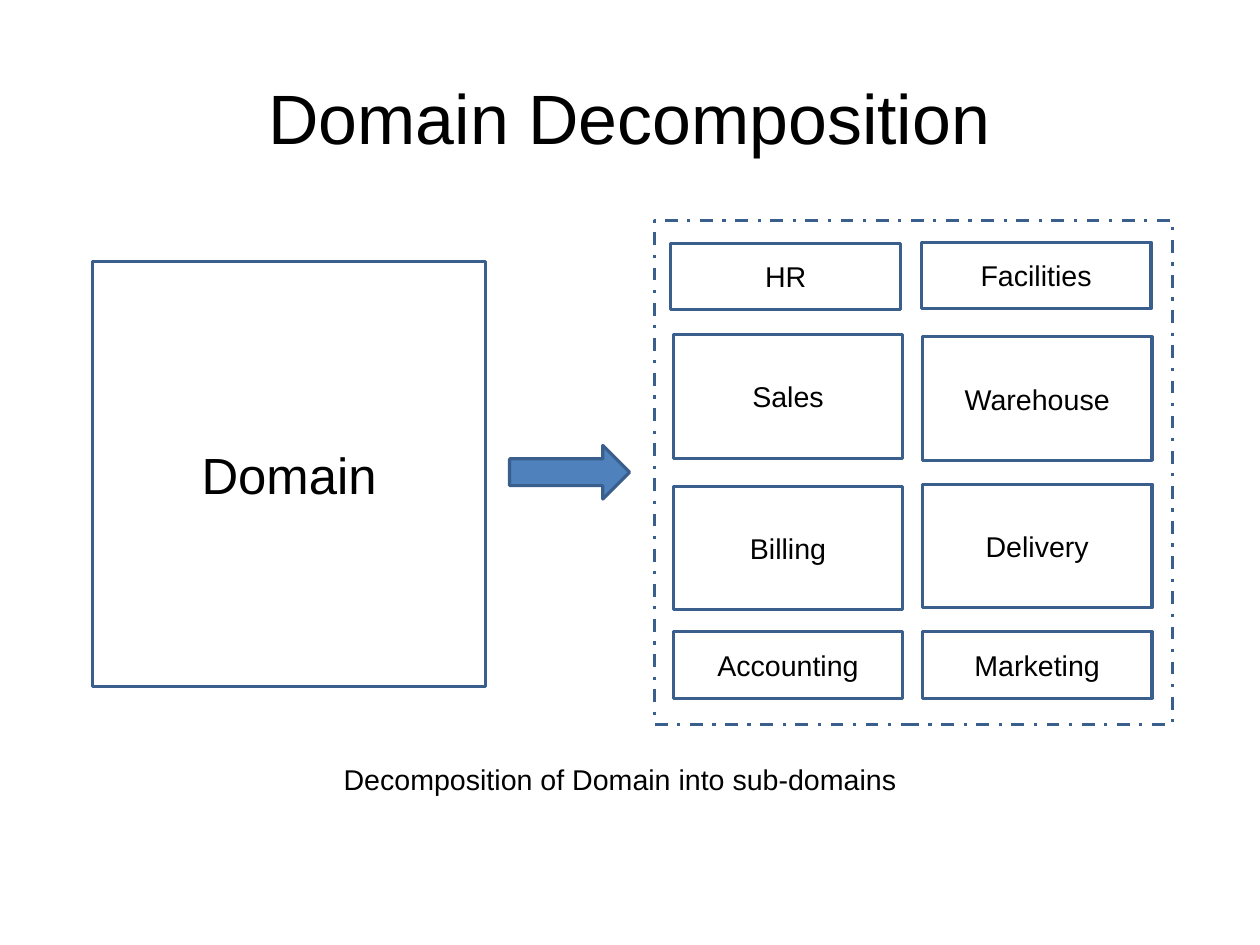
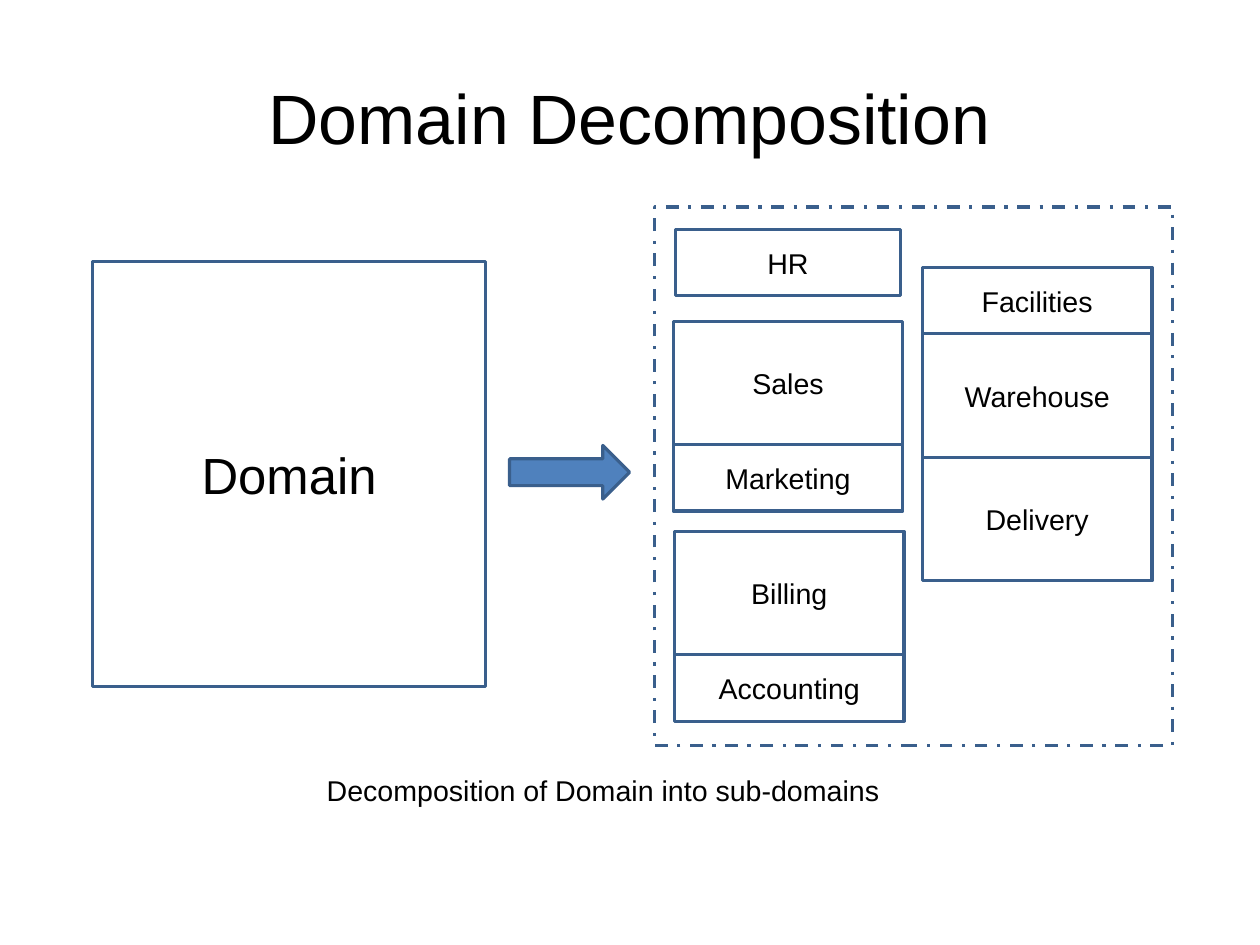
from dataclasses import dataclass

from pptx import Presentation
from pptx.dml.color import RGBColor
from pptx.enum.dml import MSO_LINE_DASH_STYLE as Dash
from pptx.enum.shapes import MSO_SHAPE as Shape
from pptx.enum.text import MSO_ANCHOR as Anchor, MSO_AUTO_SIZE as AutoSize, PP_ALIGN as Align
from pptx.util import Pt


@dataclass(frozen=True)
class Theme:
    font: str = "Arial"
    text: RGBColor = RGBColor(0x00, 0x00, 0x00)
    paper: RGBColor = RGBColor(0xFF, 0xFF, 0xFF)
    outline: RGBColor = RGBColor(0x3A, 0x5F, 0x8C)
    accent: RGBColor = RGBColor(0x4F, 0x81, 0xBD)
    outline_width: float = 2
    title_size: float = 44
    domain_size: float = 32
    body_size: float = 18


@dataclass(frozen=True)
class Stack:
    """Sub-domains that touch one another, from the top down."""
    left: float
    top: float
    names: tuple
    width: float = 144.7


THEME = Theme()
SLIDE_SIZE = (793.7, 595.28)
TALL, SHORT = 77.8, 41.8
CORE_SUBDOMAINS = {"Sales", "Warehouse", "Billing", "Delivery"}
LEFT_COLUMN, RIGHT_COLUMN = 424, 581

SEPARATE = (
    Stack(422.6, 153.2, ("HR",)),
    Stack(LEFT_COLUMN, 210.8, ("Sales",)),
    Stack(LEFT_COLUMN, 306.4, ("Billing",)),
    Stack(LEFT_COLUMN, 398, ("Accounting",)),
    Stack(580.3, 152.6, ("Facilities",)),
    Stack(RIGHT_COLUMN, 212.2, ("Warehouse",)),
    Stack(RIGHT_COLUMN, 305, ("Delivery",)),
    Stack(RIGHT_COLUMN, 398, ("Marketing",)),
)
GROUPED = (
    Stack(425.5, 144.6, ("HR",), width=141.8),
    Stack(LEFT_COLUMN, 202.3, ("Sales", "Marketing")),
    Stack(424.8, 334.7, ("Billing", "Accounting")),
    Stack(RIGHT_COLUMN, 168.5, ("Facilities", "Warehouse", "Delivery")),
)


def write(box, text, *, size, align=Align.CENTER, anchor=Anchor.MIDDLE, margin=None):
    frame = box.text_frame
    frame.word_wrap = True
    frame.vertical_anchor = anchor
    if margin is not None:
        frame.margin_left = frame.margin_right = Pt(margin)
        frame.margin_top = frame.margin_bottom = Pt(margin)
    para = frame.paragraphs[0]
    para.alignment = align
    span = para.add_run()
    span.text = text
    span.font.name = THEME.font
    span.font.size = Pt(size)
    span.font.color.rgb = THEME.text


def add_text(page, area, text, **text_format):
    box = page.shapes.add_textbox(*map(Pt, area))
    write(box, text, **text_format)
    return box


def add_outlined(page, kind, area, *, fill=None, dash=None):
    shape = page.shapes.add_shape(kind, *map(Pt, area))
    shape.shadow.inherit = False
    if fill is None:
        shape.fill.background()
    else:
        shape.fill.solid()
        shape.fill.fore_color.rgb = fill
    shape.line.color.rgb = THEME.outline
    shape.line.width = Pt(THEME.outline_width)
    if dash is not None:
        shape.line.dash_style = dash
    return shape


def add_stack(page, stack):
    top = stack.top
    for name in stack.names:
        height = TALL if name in CORE_SUBDOMAINS else SHORT
        box = add_outlined(page, Shape.RECTANGLE, (stack.left, top, stack.width, height))
        write(box, name, size=THEME.body_size)
        top += height


def add_decomposition_page(deck, stacks, *, frame_top, frame_height, caption_at):
    page = deck.slides.add_slide(deck.slide_layouts[6])
    add_text(page, (39.6, 23.8, 714.2, 99.4), "Domain Decomposition",
             size=THEME.title_size, margin=0)
    domain = add_outlined(page, Shape.RECTANGLE, (58.3, 164.7, 247.7, 267.8), fill=THEME.paper)
    write(domain, "Domain", size=THEME.domain_size)
    add_outlined(page, Shape.RIGHT_ARROW, (321, 280.6, 75.6, 33.8), fill=THEME.accent)
    add_outlined(page, Shape.RECTANGLE, (412.4, frame_top, 326.2, frame_height),
                 fill=THEME.paper, dash=Dash.DASH_DOT)
    for stack in stacks:
        add_stack(page, stack)
    caption = add_text(page, (*caption_at, 427, 28.8),
                       "Decomposition of Domain into sub-domains",
                       size=THEME.body_size, align=Align.LEFT, anchor=Anchor.TOP)
    caption.text_frame.auto_size = AutoSize.SHAPE_TO_FIT_TEXT


def main():
    deck = Presentation()
    deck.slide_width, deck.slide_height = map(Pt, SLIDE_SIZE)
    add_decomposition_page(deck, SEPARATE, frame_top=138.8, frame_height=317.5,
                           caption_at=(209.4, 476.6))
    add_decomposition_page(deck, GROUPED, frame_top=130.4, frame_height=339.1,
                           caption_at=(198.7, 483.1))
    deck.save("out.pptx")


if __name__ == "__main__":
    main()
